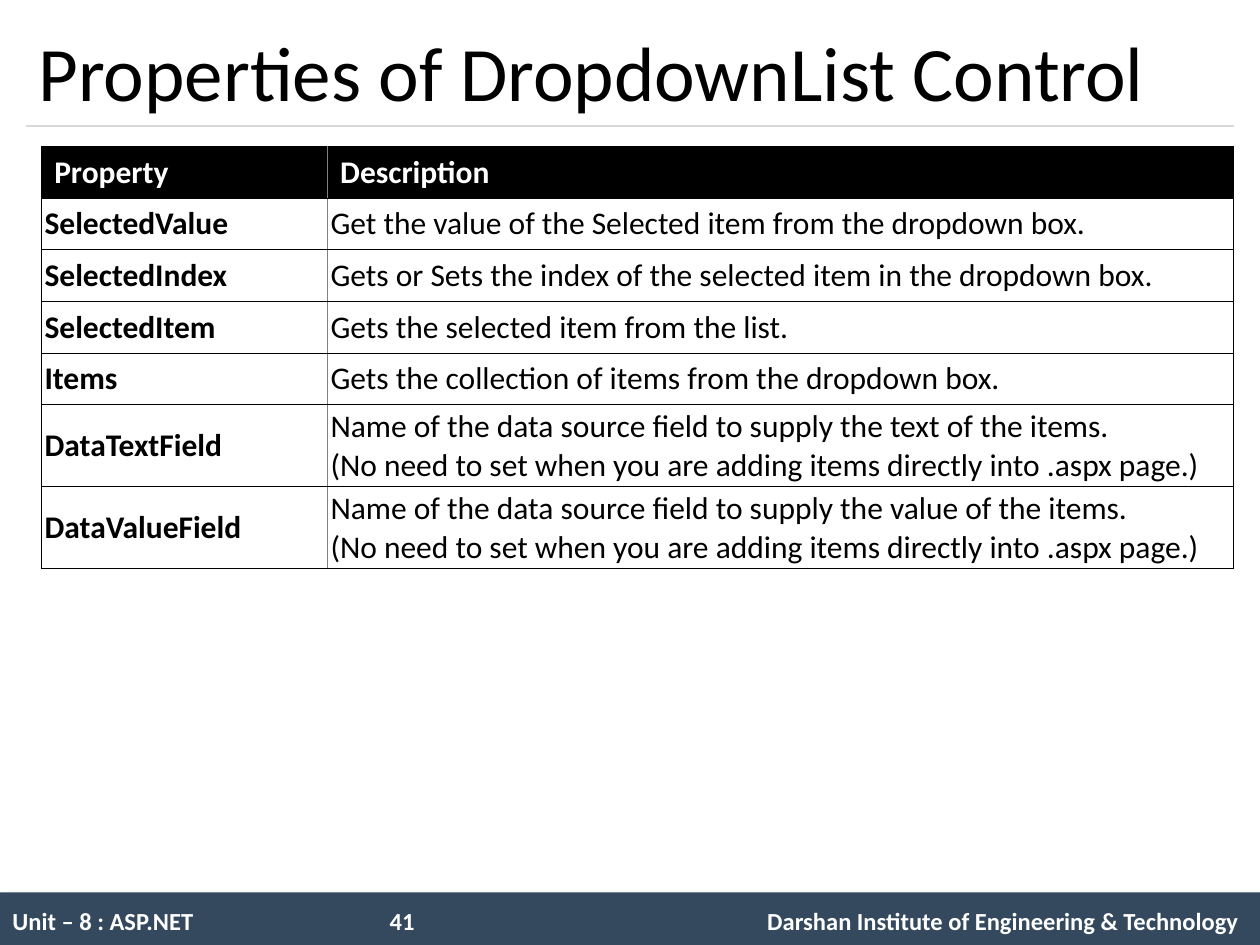
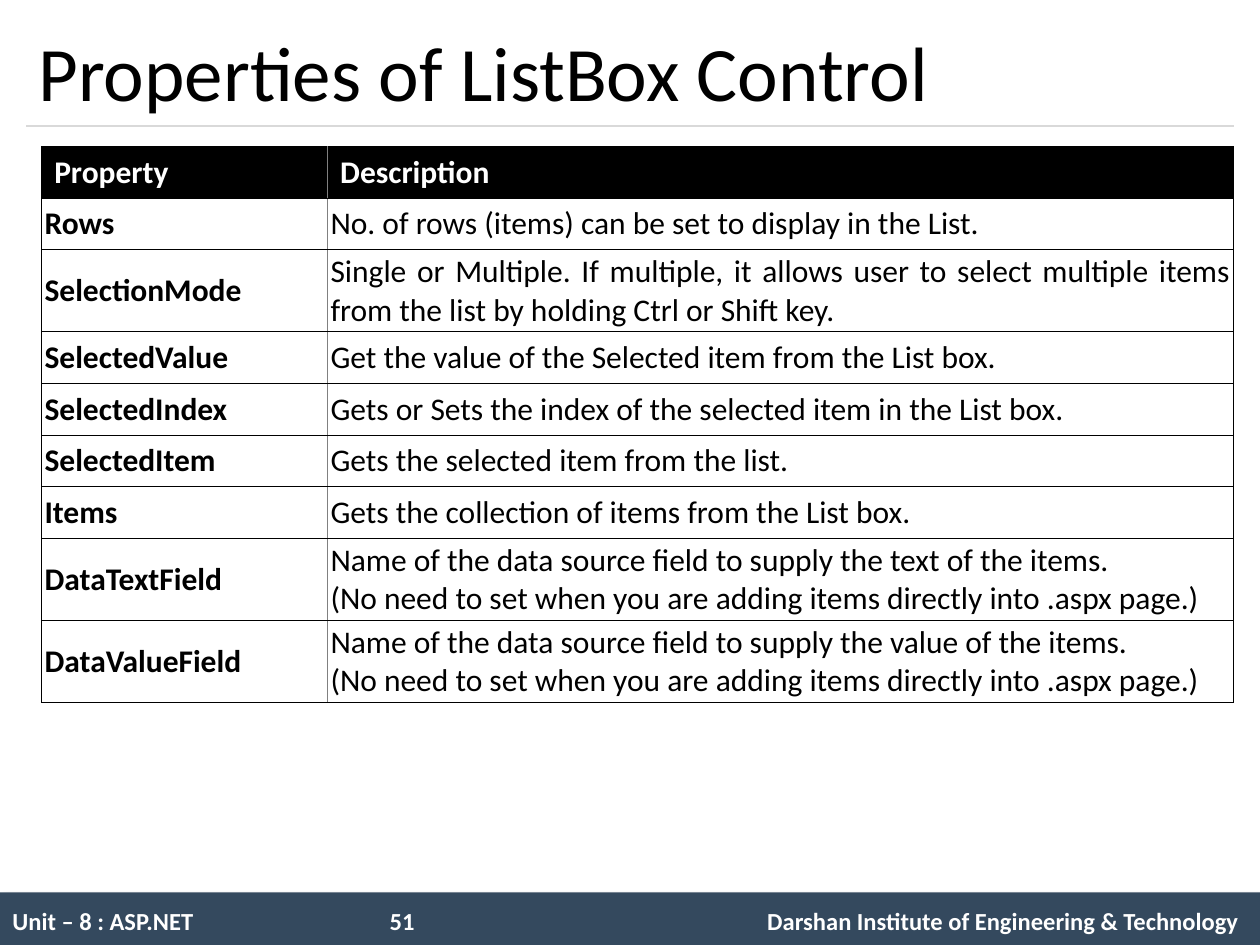
from lxml.etree import SubElement
from pptx import Presentation
from pptx.dml.color import RGBColor
from pptx.enum.shapes import MSO_CONNECTOR, MSO_SHAPE
from pptx.enum.text import MSO_ANCHOR, PP_ALIGN
from pptx.oxml.ns import qn
from pptx.util import Pt

BLACK = RGBColor(0, 0, 0)
WHITE = RGBColor(0xFF, 0xFF, 0xFF)
NAVY = RGBColor(0x34, 0x49, 0x5E)
GRAY = RGBColor(0x80, 0x80, 0x80)
LIGHT_GRAY = RGBColor(0xD9, 0xD9, 0xD9)

SLIDE_WIDTH, SLIDE_HEIGHT = 720, 540
TITLE_LEFT, TITLE_TOP, TITLE_WIDTH, RULE_TOP = 15, 8.6, 690, 72
FOOTER_TOP = 510
TABLE_LEFT, TABLE_TOP = 23.8, 84
COLUMN_WIDTHS = (163.4, 517.7)
HEADER_HEIGHT, ROW_HEIGHT, TALL_ROW_HEIGHT = 29.2, 29.55, 46.85
CHARACTERS_PER_LINE = 70
CELL_MARGIN = 1.7
OUTER_BORDER = (BLACK, 0.75)
INNER_BORDER = (GRAY, 1)

TITLE_FONT = {"name": "Calibri", "size": Pt(44), "bold": False}
FOOTER_FONT = {"name": "Calibri", "size": Pt(14), "bold": True}
CELL_FONT = {"name": "Calibri", "size": Pt(18)}

UNIT = "Unit – 8 : ASP.NET"
INSTITUTE = "Darshan Institute of Engineering & Technology"
HEADINGS = ("Property", "Description")
DIRECT_ITEMS_NOTE = "(No need to set when you are adding items directly into .aspx page.)"


def shared_properties(control):
    """Rows that both list controls have, worded for the given control."""
    data_fields = [
        (f"Data{part.title()}Field",
         f"Name of the data source field to supply the {part} of the items.\n{DIRECT_ITEMS_NOTE}")
        for part in ("text", "value")
    ]
    return [
        ("SelectedValue", f"Get the value of the Selected item from the {control}."),
        ("SelectedIndex", f"Gets or Sets the index of the selected item in the {control}."),
        ("SelectedItem", "Gets the selected item from the list."),
        ("Items", f"Gets the collection of items from the {control}."),
        *data_fields,
    ]


LISTBOX_PROPERTIES = [
    ("Rows", "No. of rows (items) can be set to display in the List."),
    ("SelectionMode", "Single or Multiple. If multiple, it allows user to select multiple "
                      "items from the list by holding Ctrl or Shift key."),
]


def format_paragraph(paragraph, color, font_values, alignment=PP_ALIGN.LEFT):
    paragraph.alignment = alignment
    for name, value in font_values.items():
        setattr(paragraph.font, name, value)
    paragraph.font.color.rgb = color


def add_title(slide, text):
    box = slide.shapes.add_textbox(Pt(TITLE_LEFT), Pt(TITLE_TOP), Pt(TITLE_WIDTH),
                                   Pt(RULE_TOP - TITLE_TOP))
    frame = box.text_frame
    frame.word_wrap = True
    frame.vertical_anchor = MSO_ANCHOR.MIDDLE
    frame.text = text
    format_paragraph(frame.paragraphs[0], BLACK, TITLE_FONT)


def add_title_rule(slide):
    rule = slide.shapes.add_connector(MSO_CONNECTOR.STRAIGHT, Pt(TITLE_LEFT), Pt(RULE_TOP),
                                      Pt(TITLE_LEFT + TITLE_WIDTH), Pt(RULE_TOP))
    rule.line.color.rgb = LIGHT_GRAY
    rule.line.width = Pt(0.75)
    SubElement(rule._element.spPr, qn("a:effectLst"))


def add_soft_shadow(shape):
    shape.shadow.inherit = False
    effects = shape._element.spPr.find(qn("a:effectLst"))
    shadow = SubElement(effects, qn("a:outerShdw"), blurRad=str(Pt(4)), dist=str(Pt(3)),
                        dir="2700000", algn="tl", rotWithShape="0")
    color = SubElement(shadow, qn("a:srgbClr"), val=str(BLACK))
    SubElement(color, qn("a:alpha"), val="40000")


def add_tab_stops(paragraph, stops):
    tab_list = SubElement(paragraph._p.get_or_add_pPr(), qn("a:tabLst"))
    for position, alignment in stops:
        SubElement(tab_list, qn("a:tab"), pos=str(Pt(position)), algn=alignment)


def add_footer(slide, number):
    band = slide.shapes.add_shape(MSO_SHAPE.RECTANGLE, 0, Pt(FOOTER_TOP), Pt(SLIDE_WIDTH),
                                  Pt(SLIDE_HEIGHT - FOOTER_TOP))
    band.fill.solid()
    band.fill.fore_color.rgb = NAVY
    band.line.fill.background()
    add_soft_shadow(band)
    frame = band.text_frame
    frame.word_wrap = True
    frame.vertical_anchor = MSO_ANCHOR.MIDDLE
    frame.margin_top = Pt(6.3)
    frame.text = f"{UNIT}\t{number}\t{INSTITUTE}"
    paragraph = frame.paragraphs[0]
    add_tab_stops(paragraph, [(215.6, "l"), (700.8, "r")])
    format_paragraph(paragraph, WHITE, FOOTER_FONT)


def set_borders(cell, column):
    left, right = ((OUTER_BORDER, INNER_BORDER), (INNER_BORDER, OUTER_BORDER))[column]
    sides = {"L": left, "R": right, "T": OUTER_BORDER, "B": OUTER_BORDER}
    properties = cell._tc.get_or_add_tcPr()
    for side, (color, width) in sides.items():
        line = SubElement(properties, qn(f"a:ln{side}"), w=str(Pt(width)))
        fill = SubElement(line, qn("a:solidFill"))
        SubElement(fill, qn("a:srgbClr"), val=str(color))


def fill_cell(cell, column, text, is_header, alignment):
    set_borders(cell, column)
    cell.text_frame.text = text
    if is_header:
        cell.fill.solid()
        cell.fill.fore_color.rgb = BLACK
    else:
        cell.fill.background()
        cell.vertical_anchor = MSO_ANCHOR.MIDDLE
        for side in ("left", "right", "top", "bottom"):
            setattr(cell, f"margin_{side}", Pt(CELL_MARGIN))
    font_values = {**CELL_FONT, "bold": is_header or column == 0}
    for paragraph in cell.text_frame.paragraphs:
        format_paragraph(paragraph, WHITE if is_header else BLACK, font_values, alignment)


def add_property_table(slide, properties, description_alignment):
    heights = [HEADER_HEIGHT] + [
        TALL_ROW_HEIGHT if len(description) > CHARACTERS_PER_LINE else ROW_HEIGHT
        for _, description in properties
    ]
    table = slide.shapes.add_table(len(heights), len(HEADINGS), Pt(TABLE_LEFT), Pt(TABLE_TOP),
                                   Pt(sum(COLUMN_WIDTHS)), Pt(sum(heights))).table
    table.horz_banding = False
    for column, width in zip(table.columns, COLUMN_WIDTHS):
        column.width = Pt(width)
    for row_index, texts in enumerate([HEADINGS, *properties]):
        table.rows[row_index].height = Pt(heights[row_index])
        is_header = row_index == 0
        for column, text in enumerate(texts):
            is_description = column == 1 and not is_header
            alignment = description_alignment if is_description else PP_ALIGN.LEFT
            fill_cell(table.cell(row_index, column), column, text, is_header, alignment)


def add_property_slide(presentation, control, number, properties, alignment):
    slide = presentation.slides.add_slide(presentation.slide_layouts[6])
    add_footer(slide, number)
    add_title_rule(slide)
    add_title(slide, f"Properties of {control} Control")
    add_property_table(slide, properties, alignment)


def main():
    presentation = Presentation()
    presentation.slide_width = Pt(SLIDE_WIDTH)
    presentation.slide_height = Pt(SLIDE_HEIGHT)
    add_property_slide(presentation, "DropdownList", 41,
                       shared_properties("dropdown box"), PP_ALIGN.LEFT)
    add_property_slide(presentation, "ListBox", 51,
                       LISTBOX_PROPERTIES + shared_properties("List box"), PP_ALIGN.JUSTIFY)
    presentation.save("out.pptx")


if __name__ == "__main__":
    main()
